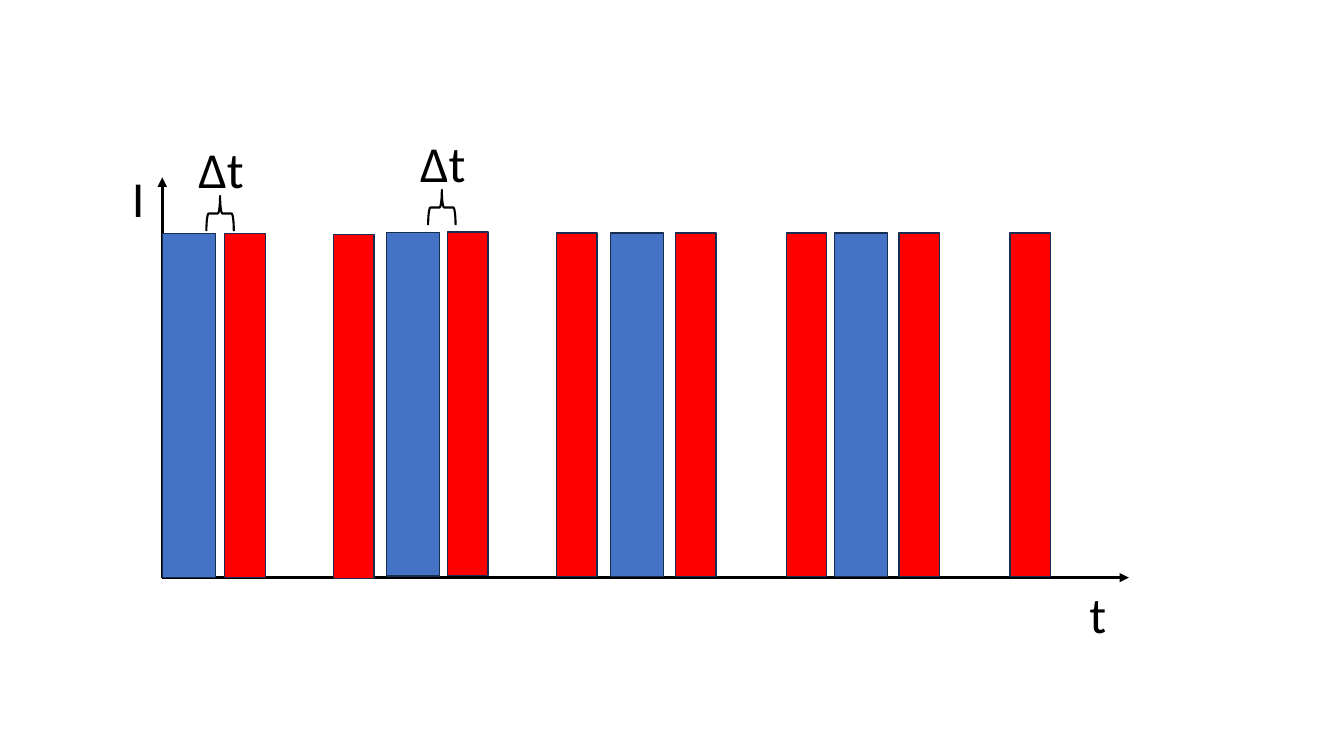
from lxml import etree
from pptx import Presentation
from pptx.dml.color import RGBColor
from pptx.enum.shapes import MSO_CONNECTOR, MSO_SHAPE as SHAPE
from pptx.oxml.ns import qn
from pptx.util import Pt

BLACK, BLUE, RED, EDGE = "000000", "4472C4", "FF0000", "172C51"
BLUE_W, RED_W, PULSE_H, PERIOD = 38, 29, 245.5, 160

# Pulse positions as (left, top) inside the plot
BLUE_PULSES = [(i * PERIOD, top) for i, top in enumerate([40.3, 39.3, 39.6, 39.6])]
RED_PULSES = [(44.6, 40.3), (203.8, 38.9), (366.5, 39.6), (526.3, 39.6),
              (122.4, 41), (281.5, 39.6), (445.7, 39.6), (605.5, 39.6)]
DELAYS = [(18.7, -31.7), (177.1, -36)]


def rgb(color):
    return RGBColor.from_string(color)


def add_label(s, text, x, y, w):
    tb = s.shapes.add_textbox(Pt(x), Pt(y), Pt(w), Pt(51))
    tf = tb.text_frame
    tf.word_wrap = True
    r = tf.paragraphs[0].add_run()
    r.text = text
    for name, value in {"name": "Calibri", "size": Pt(36)}.items():
        setattr(r.font, name, value)
    r.font.color.rgb = rgb(BLACK)


def add_axis(s, x1, y1, x2, y2):
    line = s.shapes.add_connector(MSO_CONNECTOR.STRAIGHT, Pt(x1), Pt(y1), Pt(x2), Pt(y2))
    line.line.color.rgb = rgb(BLACK)
    line.line.width = Pt(2.25)
    etree.SubElement(line.line._get_or_add_ln(), qn("a:tailEnd"), type="triangle")
    etree.SubElement(line._element.spPr, qn("a:effectLst"))


def add_pulse(s, x, y, w, color):
    sp = s.shapes.add_shape(SHAPE.RECTANGLE, Pt(x), Pt(y), Pt(w), Pt(PULSE_H))
    sp.shadow.inherit = False
    sp.fill.solid()
    sp.fill.fore_color.rgb = rgb(color)
    sp.line.color.rgb = rgb(EDGE)
    sp.line.width = Pt(1)


def add_delay(s, x, y):
    """Place a ∆t label with an upward brace below it."""
    brace = s.shapes.add_shape(SHAPE.LEFT_BRACE, Pt(x + 10), Pt(y + 47.7), Pt(25.2), Pt(19.6))
    brace.rotation = 90
    brace.shadow.inherit = False
    brace.fill.background()
    brace.line.color.rgb = rgb(BLACK)
    brace.line.width = Pt(1.5)
    add_label(s, "∆t", x, y, 78.5)


def add_pulse_plot(s, x, y, w, h):
    add_axis(s, x, y + h, x, y)
    add_axis(s, x, y + h, x + w, y + h)
    add_label(s, "I", x - 28.8, y - 10.8, 44)
    add_label(s, "t", x + w - 35.3, y + h + 0.7, 44)
    for pulses, width, color in [(BLUE_PULSES, BLUE_W, BLUE), (RED_PULSES, RED_W, RED)]:
        for dx, dy in pulses:
            add_pulse(s, x + dx, y + dy, width, color)
    for dx, dy in DELAYS:
        add_delay(s, x + dx, y + dy)


def main():
    prs = Presentation()
    prs.slide_width, prs.slide_height = Pt(960), Pt(540)
    s = prs.slides.add_slide(prs.slide_layouts[6])
    add_pulse_plot(s, 115.9, 126.7, 690.5, 285.9)
    prs.save("out.pptx")


if __name__ == "__main__":
    main()
